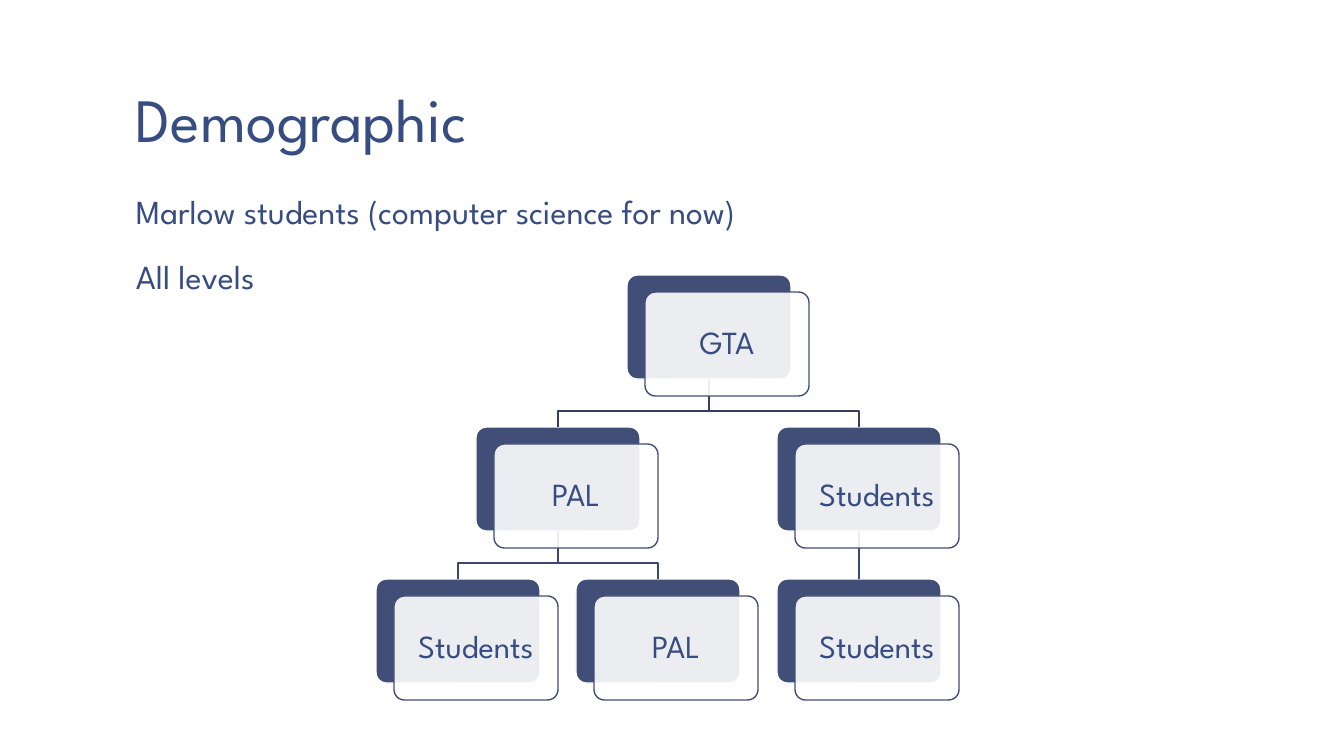
from lxml import etree
from pptx import Presentation
from pptx.dml.color import RGBColor
from pptx.enum.shapes import MSO_CONNECTOR, MSO_SHAPE
from pptx.enum.text import MSO_ANCHOR, MSO_AUTO_SIZE, PP_ALIGN
from pptx.oxml.ns import qn
from pptx.util import Pt

ROUNDED = MSO_SHAPE.ROUNDED_RECTANGLE
STRAIGHT = MSO_CONNECTOR.STRAIGHT
LEFT, CENTER = PP_ALIGN.LEFT, PP_ALIGN.CENTER
TOP, MIDDLE, BOTTOM = MSO_ANCHOR.TOP, MSO_ANCHOR.MIDDLE, MSO_ANCHOR.BOTTOM

# Content
TITLE = "Demographic"
POINTS = ["Marlow students (computer science for now)", "All levels"]
NODES = {  # name: (label, column, row, parent)
    "gta": ("GTA", 2.5, 0, None),
    "pal": ("PAL", 1, 1, "gta"),
    "pal students": ("Students", 0, 2, "pal"),
    "pal peer": ("PAL", 2, 2, "pal"),
    "students": ("Students", 4, 1, "gta"),
    "more students": ("Students", 4, 2, "students"),
}

# Style and measures in px
FONT = "League Spartan"
INK, NAVY, WHITE = "374C81", "414E77", "FFFFFF"
LINK_COLORS = ["343E5F", "3B476C"]  # by row of the parent
PX = 9144000 / 1008
CHART_LEFT, CHART_TOP = 376, 275
COLUMN_STEP, ROW_STEP = 100.25, 152
BOX_WIDTH, BOX_HEIGHT = 164, 104
CARD_SHIFT_X, CARD_SHIFT_Y = 18, 17
BEND = 16  # height of the elbow above a child


def px(length):
    return round(length * PX)


def color(value):
    return RGBColor.from_string(value)


def set_font(para, size):
    para.font.name = FONT
    para.font.size = Pt(size)
    para.font.color.rgb = color(INK)


def set_frame(frame, anchor, inset_x, inset_y):
    frame.word_wrap = True
    frame.auto_size = MSO_AUTO_SIZE.NONE
    frame.vertical_anchor = anchor
    frame.margin_left = frame.margin_right = px(inset_x)
    frame.margin_top = frame.margin_bottom = px(inset_y)


def place(shape, left, top, width, height):
    shape.left, shape.top = px(left), px(top)
    shape.width, shape.height = px(width), px(height)


def set_line(shape, value):
    shape.line.color.rgb = color(value)
    shape.line.width = Pt(1)


def add_box(page, left, top, fill, line):
    box = page.shapes.add_shape(ROUNDED, px(left), px(top), px(BOX_WIDTH), px(BOX_HEIGHT))
    box.adjustments[0] = 0.1
    box.shadow.inherit = False
    box.fill.solid()
    box.fill.fore_color.rgb = color(fill)
    set_line(box, line)
    return box


def box_position(name):
    label, column, row, parent = NODES[name]
    return CHART_LEFT + round(column * COLUMN_STEP), CHART_TOP + row * ROW_STEP


def add_link(page, parent, child, boxes):
    parent_left, parent_top = box_position(parent)
    child_left, child_top = box_position(child)
    start_x, end_x = parent_left + BOX_WIDTH // 2, child_left + BOX_WIDTH // 2
    start_y = parent_top + BOX_HEIGHT
    if start_x == end_x:
        link = page.shapes.add_connector(STRAIGHT, 0, 0, 0, 0)
        link.begin_connect(boxes[parent], 2)
        link.end_connect(boxes[child], 0)
        etree.SubElement(link._element.spPr, qn("a:effectLst"))
    else:
        bend_y = child_top - BEND
        builder = page.shapes.build_freeform(start_x, start_y, scale=PX)
        builder.add_line_segments(
            [(start_x, bend_y), (end_x, bend_y), (end_x, child_top)], close=False)
        link = builder.convert_to_shape()
        link.fill.background()
        link.shadow.inherit = False
    set_line(link, LINK_COLORS[NODES[parent][2]])


def add_card(page, name):
    left, top = box_position(name)
    card = add_box(page, left + CARD_SHIFT_X, top + CARD_SHIFT_Y, WHITE, NAVY)
    fill_color = card._element.spPr.find(qn("a:solidFill"))[0]
    etree.SubElement(fill_color, qn("a:alpha"), val="90000")
    set_frame(card.text_frame, MIDDLE, 13, 13)
    para = card.text_frame.paragraphs[0]
    para.text = NODES[name][0]
    para.alignment = CENTER
    para.line_spacing = 0.9
    set_font(para, 23)


def main():
    deck = Presentation()
    deck.slide_width, deck.slide_height = px(1344), px(756)
    page = deck.slides.add_slide(deck.slide_layouts[1])

    # Title
    title = page.shapes.title
    place(title, 123, 8, 1120, 154)
    set_frame(title.text_frame, BOTTOM, 13, 7)
    para = title.text_frame.paragraphs[0]
    para.text = TITLE
    para.alignment = LEFT
    para.line_spacing = 0.85
    set_font(para, 44)

    # Points
    body = page.placeholders[1]
    place(body, 123, 187, 1089, 135)
    set_frame(body.text_frame, TOP, 13, 7)
    body.text_frame.text = "\n".join(POINTS)
    for para in body.text_frame.paragraphs:
        para.line_spacing = 0.95
        para.space_before = Pt(18.7)
        set_font(para, 24)
        properties = para._p.get_or_add_pPr()
        properties.set("marL", "0")
        properties.set("indent", "0")
        properties.insert_element_before(
            properties.makeelement(qn("a:buNone"), {}), "a:tabLst", "a:defRPr")

    # Hierarchy: dark boxes, links, then labelled cards
    boxes = {name: add_box(page, *box_position(name), NAVY, WHITE) for name in NODES}
    for name, (label, column, row, parent) in NODES.items():
        if parent:
            add_link(page, parent, name, boxes)
    for name in NODES:
        add_card(page, name)

    deck.save("out.pptx")


if __name__ == "__main__":
    main()
